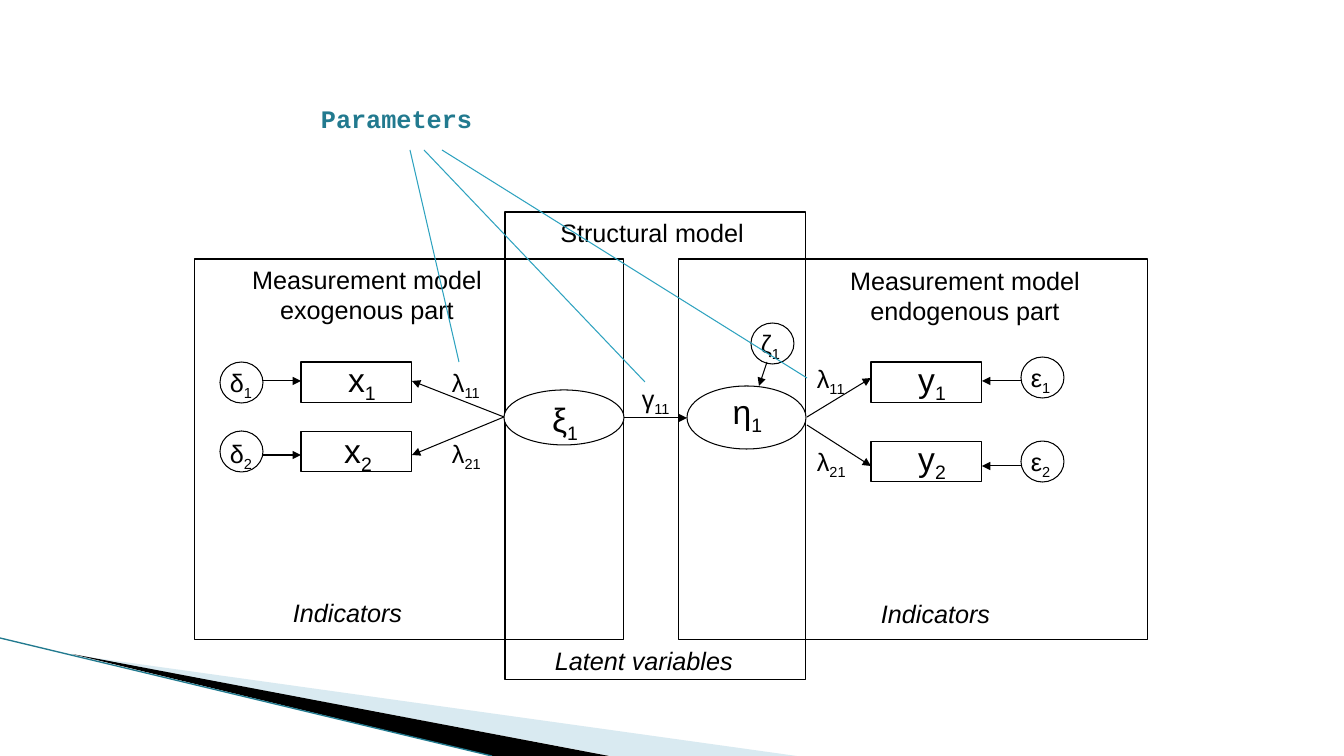
from lxml import etree
from pptx import Presentation
from pptx.dml.color import RGBColor
from pptx.enum.shapes import MSO_CONNECTOR, MSO_SHAPE
from pptx.enum.text import MSO_AUTO_SIZE, PP_ALIGN
from pptx.oxml.ns import qn
from pptx.util import Emu, Pt

PX = 914400 / 100.8
RECT = MSO_SHAPE.RECTANGLE
OVAL = MSO_SHAPE.OVAL
STRAIGHT = MSO_CONNECTOR.STRAIGHT
LEFT = PP_ALIGN.LEFT
CENTER = PP_ALIGN.CENTER
FIT = MSO_AUTO_SIZE.SHAPE_TO_FIT_TEXT

BLACK = "000000"
WHITE = "FFFFFF"
TEAL = "2DA2BF"
DARK_TEAL = "227A8F"
ITEM_W, ITEM_H = 111, 41
ERROR_W, ERROR_H = 43, 41


def px(value):
    return Emu(round(value * PX))


def color(hex_string):
    return RGBColor.from_string(hex_string)


def add_text(slide, text, x, y, w, h, sub="", size=18, font="Arial",
             ink=BLACK, align=LEFT, bold=False, italic=False):
    frame = slide.shapes.add_textbox(px(x), px(y), px(w), px(h)).text_frame
    frame.word_wrap = True
    frame.auto_size = FIT
    paragraph = frame.paragraphs[0]
    paragraph.alignment = align
    for part, baseline in ((text, None), (sub, "-25000")):
        if not part:
            continue
        run = paragraph.add_run()
        run.text = part
        run.font.size = Pt(size)
        run.font.name = font
        run.font.bold = bold
        run.font.italic = italic
        run.font.color.rgb = color(ink)
        if baseline:
            run._r.get_or_add_rPr().set("baseline", baseline)


def add_outline(slide, kind, x, y, w, h, fill=WHITE):
    outline = slide.shapes.add_shape(kind, px(x), px(y), px(w), px(h))
    outline.shadow.inherit = False
    if fill:
        outline.fill.solid()
        outline.fill.fore_color.rgb = color(fill)
    else:
        outline.fill.background()
    outline.line.color.rgb = color(BLACK)
    outline.line.width = Pt(0.75)


def add_line(slide, start, end, ink=BLACK, width=0.75, arrow=True):
    line = slide.shapes.add_connector(
        STRAIGHT, *(px(value) for value in (*start, *end)))
    line.line.color.rgb = color(ink)
    line.line.width = Pt(width)
    if arrow:
        etree.SubElement(line.line._get_or_add_ln(), qn("a:tailEnd"), type="triangle")
    etree.SubElement(line._element.spPr, qn("a:effectLst"))


def add_band(slide, points, fill, opacity=100):
    builder = slide.shapes.build_freeform(*points[0], scale=PX)
    builder.add_line_segments(points[1:], close=True)
    band = builder.convert_to_shape()
    band.shadow.inherit = False
    band.fill.solid()
    band.fill.fore_color.rgb = color(fill)
    band.line.fill.background()
    if opacity < 100:
        tint = band._element.spPr.find(qn("a:solidFill"))[0]
        etree.SubElement(tint, qn("a:alpha"), val=str(opacity * 1000))


def draw_corner(slide, x, y, w, h):
    bottom = y + h
    add_band(slide, [(x + 74, y + 17), (x + 797, bottom), (x + 611, bottom)],
             "A0CBDC", opacity=40)
    add_band(slide, [(x + 72, y + 16), (x + 609, bottom), (x + 492, bottom)], BLACK)
    add_line(slide, (x, y), (x + w, bottom), ink=DARK_TEAL, width=0.95, arrow=False)


def draw_measurement_model(slide, x, y, w, h, title, title_box, caption_at,
                           item, item_x, error, error_x, loading_x, rows):
    add_outline(slide, RECT, x, y, w, h, fill=None)
    title_x, title_y, title_w = title_box
    add_text(slide, title, x + title_x, y + title_y, title_w, 72, align=CENTER)
    add_text(slide, "Indicators", x + caption_at[0], y + caption_at[1], 158, 40,
             italic=True)
    errors_on_left = error_x < item_x
    item_left, item_right = x + item_x, x + item_x + ITEM_W
    if errors_on_left:
        error_edge, error_target = x + error_x + ERROR_W, item_left
        loading_target = item_right
    else:
        error_edge, error_target = x + error_x, item_right
        loading_target = item_left
    for number, row in enumerate(rows, 1):
        item_y, error_y, error_text_y, arrow_y, loading_y = (
            y + offset for offset in row["heights"])
        text_x, text_y = row["item_text"]
        add_outline(slide, RECT, item_left, item_y, ITEM_W, ITEM_H)
        add_text(slide, item, item_left + text_x, item_y + text_y, 64, 50,
                 sub=str(number), size=24, align=CENTER)
        add_outline(slide, OVAL, x + error_x, error_y, ERROR_W, ERROR_H)
        add_text(slide, error, x + error_x, error_text_y, 55, 40, sub=str(number))
        add_line(slide, (error_edge, arrow_y), (error_target, arrow_y))
        start_x, start_y, end_y = row["loading"]
        add_line(slide, (x + start_x, y + start_y), (loading_target, y + end_y))
        add_text(slide, "λ", x + loading_x, loading_y, 55, 40, sub=f"{number}1")


def draw_structural_model(slide, x, y, w, h):
    add_outline(slide, RECT, x, y, w, h, fill=None)
    add_text(slide, "Structural model", x + 8, y, 278, 40, align=CENTER)
    add_text(slide, "Latent variables", x + 40, y + 428, 230, 40, italic=True)
    add_outline(slide, OVAL, x - 1, y + 178, 120, 55)
    add_text(slide, "ξ", x + 32, y + 182, 56, 50, sub="1", size=24, align=CENTER)
    add_outline(slide, OVAL, x + 182, y + 174, 119, 63)
    add_text(slide, "η", x + 215, y + 174, 55, 50, sub="1", size=24, align=CENTER)
    add_line(slide, (x + 119, y + 206), (x + 182, y + 206))
    add_text(slide, "γ", x + 127, y + 166, 55, 40, sub="11")
    add_outline(slide, OVAL, x + 246, y + 111, ERROR_W, ERROR_H)
    add_text(slide, "ζ", x + 246, y + 111, 55, 40, sub="1")
    add_line(slide, (x + 262, y + 150), (x + 254, y + 174))


def draw_parameters(slide, x, y, w, h):
    add_text(slide, "Parameters", x, y, w, h, font="Courier New",
             ink=DARK_TEAL, bold=True)
    for start_x, end_x, end_y in ((99, 148, 264), (113, 334, 284), (131, 496, 280)):
        add_line(slide, (x + start_x, y + 52), (x + end_x, y + end_y),
                 ink=TEAL, arrow=False)


def main():
    deck = Presentation()
    deck.slide_width, deck.slide_height = px(1344), px(756)
    slide = deck.slides.add_slide(deck.slide_layouts[6])
    draw_corner(slide, 0, 638, 492, 118)
    draw_measurement_model(
        slide, 679, 259, 469, 381,
        title="Measurement model endogenous part", title_box=(143, 1, 286),
        caption_at=(192, 334), item="y", item_x=192, error="ε", error_x=342,
        loading_x=128,
        rows=[
            {"heights": (103, 98, 98, 122, 99), "item_text": (29, -8),
             "loading": (128, 158, 119)},
            {"heights": (182, 182, 182, 207, 182), "item_text": (29, -8),
             "loading": (128, 166, 207)},
        ])
    draw_measurement_model(
        slide, 195, 259, 429, 381,
        title="Measurement model exogenous part", title_box=(41, 0, 262),
        caption_at=(88, 333), item="x", item_x=106, error="δ", error_x=25,
        loading_x=247,
        rows=[
            {"heights": (103, 103, 103, 122, 103), "item_text": (29, -8),
             "loading": (309, 158, 122)},
            {"heights": (172, 172, 174, 196, 174), "item_text": (25, -6),
             "loading": (309, 158, 196)},
        ])
    draw_structural_model(slide, 505, 212, 301, 468)
    draw_parameters(slide, 311, 98, 300, 40)
    deck.save("out.pptx")


if __name__ == "__main__":
    main()
